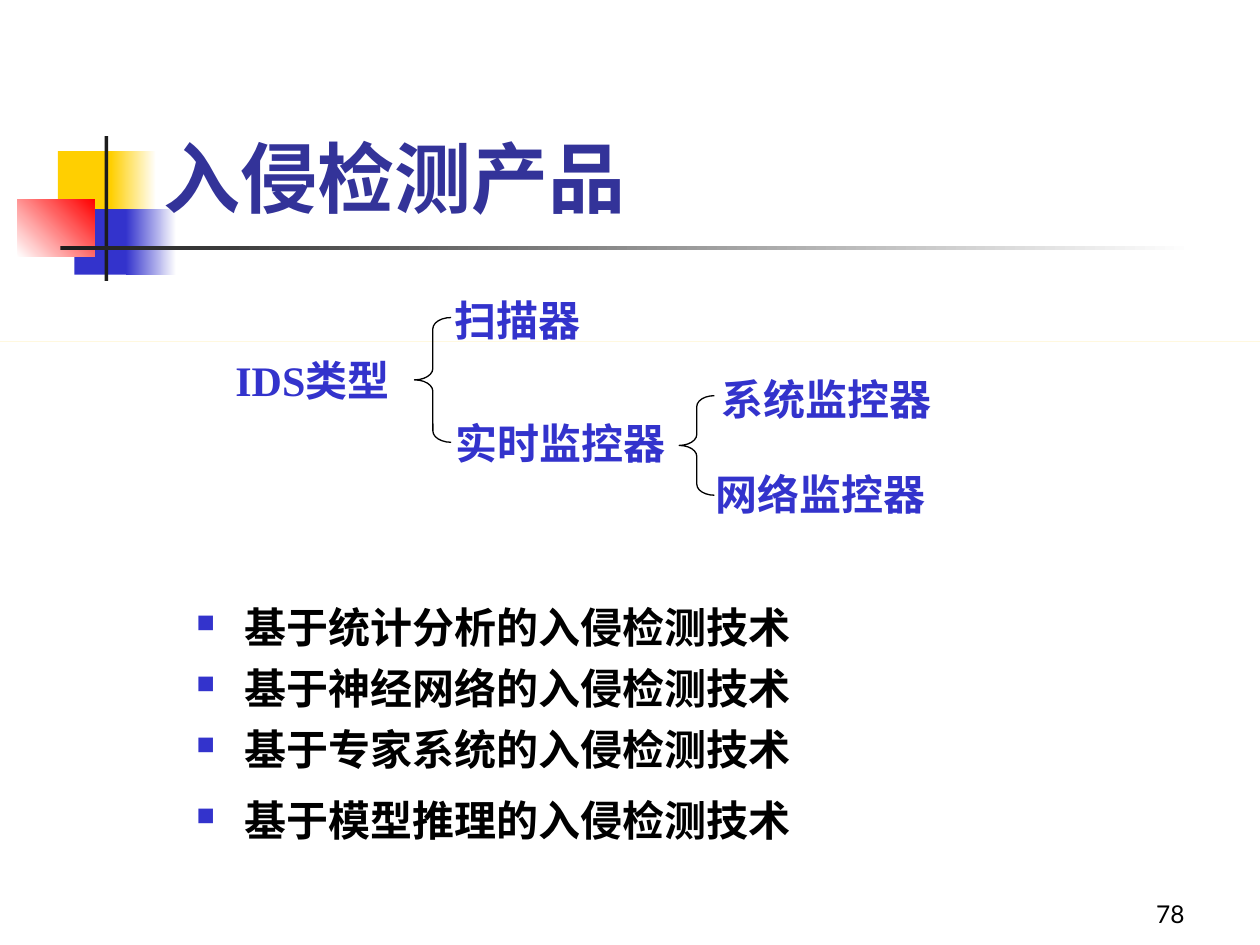
import pptx
import pptx.util
import pptx.dml.color
import pptx.enum.shapes
import pptx.enum.text
import pptx.oxml.ns
from lxml import etree

RGB = pptx.dml.color.RGBColor
YELLOW = RGB(0xFF, 0xCF, 0x01)
BLUE = RGB(0x33, 0x33, 0xCC)
NAVY = RGB(0x33, 0x33, 0x99)
RED = RGB(0xFF, 0x00, 0x00)
INK = RGB(0x1C, 0x1C, 0x1C)
BLACK = RGB(0x00, 0x00, 0x00)
WHITE = RGB(0xFF, 0xFF, 0xFF)

SHAPE = pptx.enum.shapes.MSO_SHAPE
ALIGN = pptx.enum.text.PP_ALIGN
ANCHOR = pptx.enum.text.MSO_ANCHOR
CJK = "Noto Sans CJK SC"
SERIF = "Times New Roman"
Pt = pptx.util.Pt


def grid(*cells):
    """Lengths on a grid of 100 columns by 75 rows, each 0.1 inch."""
    return [pptx.util.Inches(cell / 10) for cell in cells]


def within(box, left, top, width, height):
    return box[0] + left, box[1] + top, width, height


def add_block(slide, box, start, end=None, angle=0):
    block = slide.shapes.add_shape(SHAPE.RECTANGLE, *grid(*box))
    block.shadow.inherit = False
    block.line.fill.background()
    if end is None:
        block.fill.solid()
        block.fill.fore_color.rgb = start
    else:
        block.fill.gradient()
        block.fill.gradient_angle = angle
        for stop, colour, position in zip(block.fill.gradient_stops, (start, end), (0, 1)):
            stop.color.rgb = colour
            stop.position = position


def add_bullet(paragraph, colour, indent):
    props = paragraph._p.get_or_add_pPr()
    props.set("marL", str(indent))
    props.set("indent", str(-indent))
    tag = pptx.oxml.ns.qn
    etree.SubElement(etree.SubElement(props, tag("a:buClr")), tag("a:srgbClr"), val=str(colour))
    etree.SubElement(props, tag("a:buSzPct"), val="60000")
    etree.SubElement(props, tag("a:buChar"), char="■")


def add_text(slide, box, *lines, size=24, font=SERIF, colour=BLUE, bold=True,
             align=ALIGN.LEFT, anchor=ANCHOR.TOP, spacing=None, gaps=(0,),
             inset_top=0.05, bullet=None, fill=None):
    holder = slide.shapes.add_textbox(*grid(*box))
    if fill is not None:
        holder.fill.solid()
        holder.fill.fore_color.rgb = fill
    frame = holder.text_frame
    frame.word_wrap = True
    frame.vertical_anchor = anchor
    frame.margin_top = pptx.util.Inches(inset_top)
    for index, (line, gap) in enumerate(zip(lines, gaps)):
        paragraph = frame.paragraphs[0] if index == 0 else frame.add_paragraph()
        if bullet is not None:
            add_bullet(paragraph, bullet, pptx.util.Inches(0.38))
        paragraph.alignment = align
        if gap:
            paragraph.space_before = Pt(gap)
        if spacing:
            paragraph.line_spacing = Pt(spacing)
        run = paragraph.add_run()
        run.text = line
        run.font.size = Pt(size)
        run.font.bold = bold
        run.font.color.rgb = colour
        run.font.name = font
        etree.SubElement(run._r.get_or_add_rPr(), pptx.oxml.ns.qn("a:ea"), typeface=CJK)


def add_brace(slide, box):
    brace = slide.shapes.add_shape(SHAPE.LEFT_BRACE, *grid(*box))
    brace.shadow.inherit = False
    brace.fill.background()
    brace.line.color.rgb = BLACK
    brace.line.width = Pt(0.75)
    brace.adjustments[0] = 0.31
    brace.adjustments[1] = 0.5


def draw_ornament(slide, box):
    """Overlapping squares with a cross of two bars."""
    for part, *paint in (
        ((3.2, 1.2, 4.8, 5.2), YELLOW),
        ((7.4, 1.2, 3.6, 5.2), YELLOW, WHITE),
        ((4.5, 5.8, 4.6, 5.2), BLUE),
        ((8.6, 5.8, 4, 5.2), BLUE, WHITE),
        ((0, 5, 6.1, 4.6), WHITE, RED, 45),
        ((6.9, 0, 0.3, 11.5), INK),
        ((3.4, 8.7, 90, 0.35), INK, WHITE),
    ):
        add_block(slide, within(box, *part), *paint)


def draw_type_tree(slide, box):
    """IDS types, branching to the right through braces."""
    for label, left, top, width, fill in (
        ("IDS类型", 0, 4.8, 21.4, WHITE),
        ("扫描器", 17.4, 0, 21.4, None),
        ("实时监控器", 17.5, 9.8, 21.4, None),
        ("系统监控器", 38.6, 6.3, 22.8, None),
        ("网络监控器", 38.1, 13.8, 22.8, None),
    ):
        add_text(slide, within(box, left, top, width, 5.9), label,
                 align=ALIGN.JUSTIFY, spacing=31.5, fill=fill)
    for part in ((15.2, 2.7, 2.9, 9.9), (36.2, 8.9, 2.8, 7.9)):
        add_brace(slide, within(box, *part))


def draw_techniques(slide, box):
    bases = ("统计分析", "神经网络", "专家系统", "模型推理")
    add_text(slide, box, *(f"基于{base}的入侵检测技术" for base in bases),
             colour=BLACK, spacing=28.9, gaps=(0, 6, 6, 11.5),
             inset_top=0.08, bullet=BLUE)


def main():
    deck = pptx.Presentation()
    deck.slide_width, deck.slide_height = grid(100, 75)
    slide = deck.slides.add_slide(deck.slide_layouts[6])

    # Heading with its ornament
    draw_ornament(slide, (1.4, 10.8, 93.4, 11.5))
    add_text(slide, (12, 9.7, 77.2, 8.7), "入侵检测产品", size=44, font=CJK,
             colour=NAVY, anchor=ANCHOR.MIDDLE)

    # Hairline across the slide
    add_block(slide, (0, 27.1, 100, 0), YELLOW)

    # Content
    draw_techniques(slide, (14.6, 46.9, 75, 23.2))
    draw_type_tree(slide, (17.7, 22.5, 61.4, 19.7))

    # Page number
    add_text(slide, (74.2, 69.2, 20.8, 5), "78", size=14, font="Lato", colour=BLACK,
             bold=False, align=ALIGN.RIGHT, anchor=ANCHOR.BOTTOM)
    deck.save("out.pptx")


if __name__ == "__main__":
    main()
